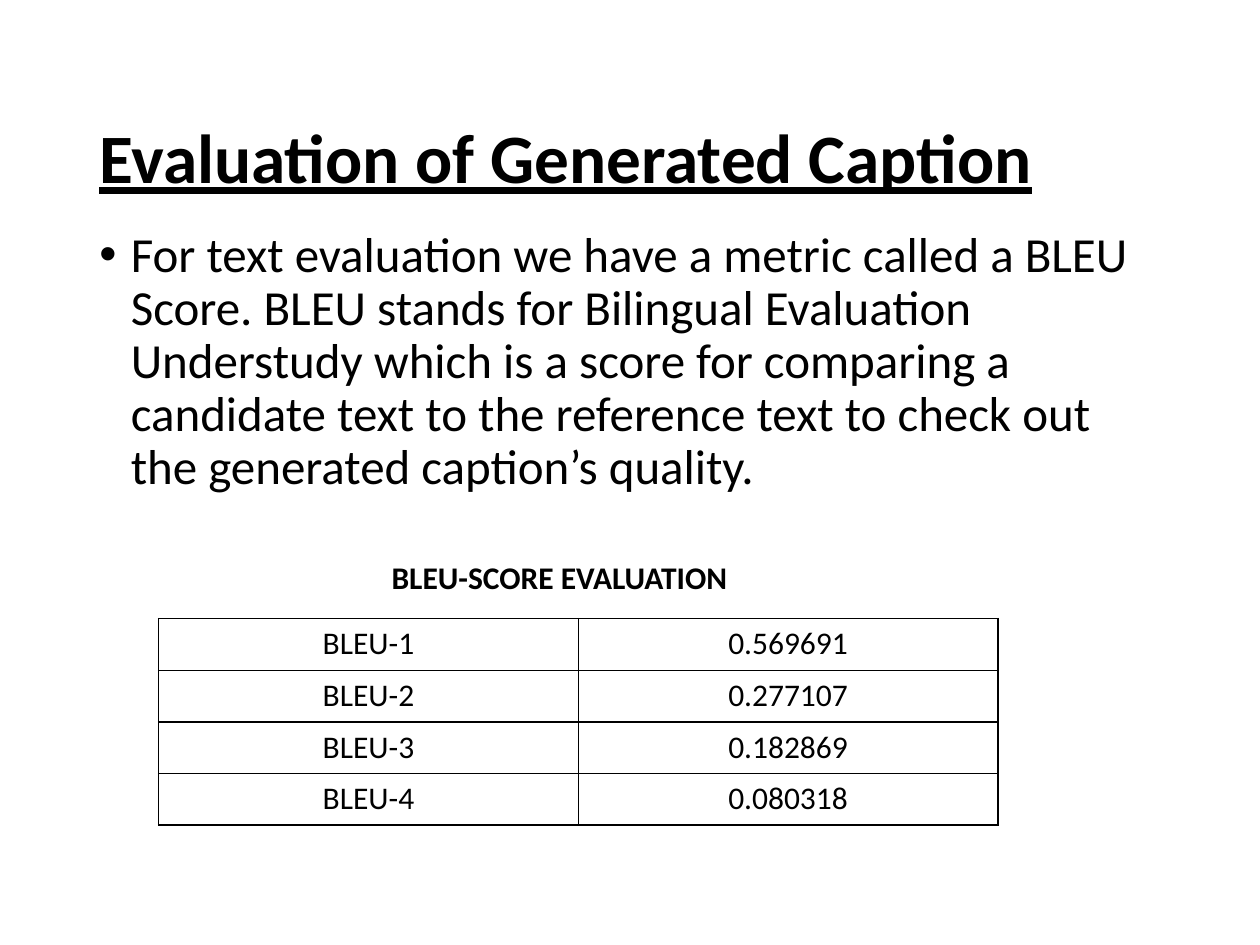
import pptx
import pptx.dml.color
import pptx.enum.text
import pptx.oxml
import pptx.oxml.ns
import pptx.util
from lxml import etree

Inches, Pt = pptx.util.Inches, pptx.util.Pt
ANCHOR, ALIGN = pptx.enum.text.MSO_ANCHOR, pptx.enum.text.PP_ALIGN
qn = pptx.oxml.ns.qn
BLACK = pptx.dml.color.RGBColor(0, 0, 0)
FONT = "Calibri"

TITLE = "Evaluation of Generated Caption"
BODY = (
    "For text evaluation we have a metric called a BLEU Score. BLEU stands for "
    "Bilingual Evaluation Understudy which is a score for comparing a candidate "
    "text to the reference text to check out the generated caption’s quality."
)
CAPTION = "BLEU-SCORE EVALUATION"
SCORES = [
    ("BLEU-1", "0.569691"),
    ("BLEU-2", "0.277107"),
    ("BLEU-3", "0.182869"),
    ("BLEU-4", "0.080318"),
]

SLIDE_W, SLIDE_H = 10, 7.5
MARGIN = 0.69
TABLE_X, TABLE_Y = 1.26, 4.91
COL_W, ROW_H = 3.33, 0.41


def write(tf, text, size, bold=False, underline=False):
    p = tf.paragraphs[0]
    r = p.add_run()
    r.text = text
    r.font.name, r.font.size = FONT, Pt(size)
    r.font.bold, r.font.underline = bold, underline
    r.font.color.rgb = BLACK
    return p


def add_text(s, box, text, size, anchor=ANCHOR.TOP, **style):
    tf = s.shapes.add_textbox(*map(Inches, box)).text_frame
    tf.word_wrap = True
    tf.vertical_anchor = anchor
    return write(tf, text, size, **style)


def add_bullet(p, indent):
    pPr = p._p.get_or_add_pPr()
    pPr.set("marL", str(Inches(indent)))
    pPr.set("indent", str(-Inches(indent)))
    etree.SubElement(pPr, qn("a:buFont"), typeface="Arial")
    etree.SubElement(pPr, qn("a:buChar"), char="•")


def add_borders(cell, width):
    tcPr = cell._tc.get_or_add_tcPr()
    for i, side in enumerate(("lnL", "lnR", "lnT", "lnB")):
        ln = etree.Element(qn(f"a:{side}"), w=str(Pt(width)))
        fill = etree.SubElement(ln, qn("a:solidFill"))
        etree.SubElement(fill, qn("a:srgbClr"), val=str(BLACK))
        tcPr.insert(i, ln)


def add_scores(s):
    rows, cols = len(SCORES), len(SCORES[0])
    table = s.shapes.add_table(
        rows, cols, Inches(TABLE_X), Inches(TABLE_Y),
        Inches(cols * COL_W), Inches(rows * ROW_H),
    ).table
    table.first_row = table.horz_banding = False
    for col in table.columns:
        col.width = Inches(COL_W)
    for row, values in zip(table.rows, SCORES):
        row.height = Inches(ROW_H)
        for cell, value in zip(row.cells, values):
            write(cell.text_frame, value, 18).alignment = ALIGN.CENTER
            cell.fill.background()
            add_borders(cell, 1)


def main():
    prs = pptx.Presentation()
    prs.slide_width, prs.slide_height = Inches(SLIDE_W), Inches(SLIDE_H)
    s = prs.slides.add_slide(prs.slide_layouts[6])

    p = add_text(s, (MARGIN, 0.71, 7.96, 1.14), TITLE, 39.6,
                 anchor=ANCHOR.MIDDLE, bold=True, underline=True)
    p.line_spacing = 0.9

    p = add_text(s, (MARGIN, 1.78, SLIDE_W - 2 * MARGIN, 4.76), BODY, 28)
    p.line_spacing = 0.9
    p.space_before = Pt(10)
    add_bullet(p, 0.25)

    add_scores(s)
    add_text(s, (3.01, 4.38, 2.95, 0.4), CAPTION, 18, bold=True)
    prs.save("out.pptx")


if __name__ == "__main__":
    main()
